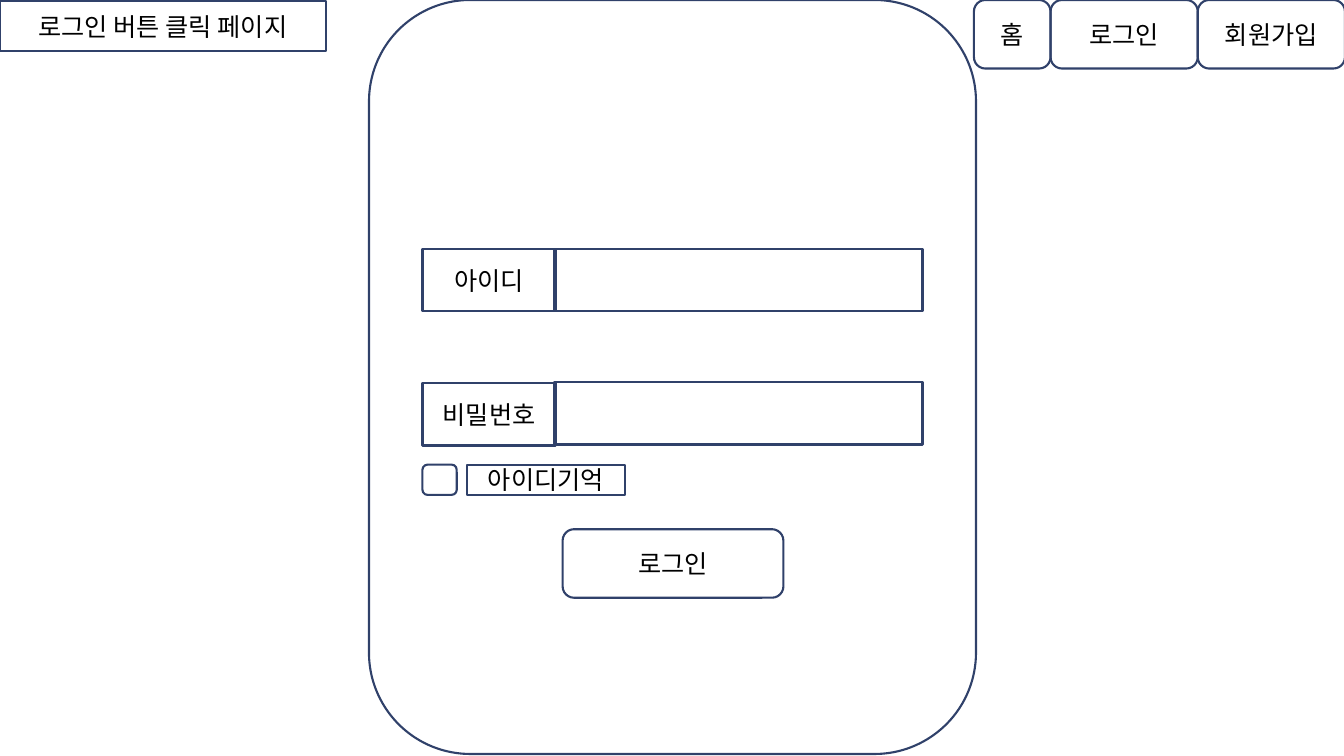
from pptx import Presentation
from pptx.dml.color import RGBColor
from pptx.enum.shapes import MSO_SHAPE as Kind
from pptx.enum.text import MSO_ANCHOR as Anchor, PP_ALIGN as Align
from pptx.util import Pt

SCALE = 9144


def px(num):
    return num * SCALE


def color(code):
    return RGBColor.from_string(code)


class Page:
    """Draws outlined boxes in one style on the current slide."""

    font = "Calibri"
    size = 18
    ink = "000000"
    edge = "30416A"
    width = 1.5

    def __init__(self, slide):
        self.slide = slide

    def shape(self, kind, area, text):
        box = self.slide.shapes.add_shape(kind, *map(px, area))
        box.shadow.inherit = False
        box.fill.background()
        box.line.color.rgb = color(self.edge)
        box.line.width = Pt(self.width)
        if text:
            self.label(box.text_frame, text)
        return box

    def label(self, frame, text):
        frame.text = text
        frame.word_wrap = True
        frame.vertical_anchor = Anchor.MIDDLE
        para = frame.paragraphs[0]
        para.alignment = Align.CENTER
        font = para.runs[0].font
        font.name = self.font
        font.size = Pt(self.size)
        font.color.rgb = color(self.ink)

    def rect(self, *area, text=""):
        return self.shape(Kind.RECTANGLE, area, text)

    def round(self, *area, text=""):
        box = self.shape(Kind.ROUNDED_RECTANGLE, area, text)
        box.adjustments[0] = 0.167
        return box


def main():
    deck = Presentation()
    deck.slide_width, deck.slide_height = px(1333), px(750)
    page = Page(deck.slides.add_slide(deck.slide_layouts[6]))

    page.round(366, 0, 602, 748)
    for top, drop, name in ((247, 0, "아이디"), (379, 1, "비밀번호")):
        page.rect(419, top + drop, 132, 62, text=name)
        page.rect(550, top, 365, 62)
    page.round(558, 525, 219, 68, text="로그인")
    page.rect(0, 1, 323, 50, text="로그인 버튼 클릭 페이지")
    page.round(419, 461, 34, 30)
    page.rect(463, 461, 157, 30, text="아이디기억")

    left = 966
    for wide, name in ((76, "홈"), (146, "로그인"), (146, "회원가입")):
        page.round(left, 0, wide, 68, text=name)
        left += wide

    deck.save("out.pptx")


if __name__ == "__main__":
    main()
